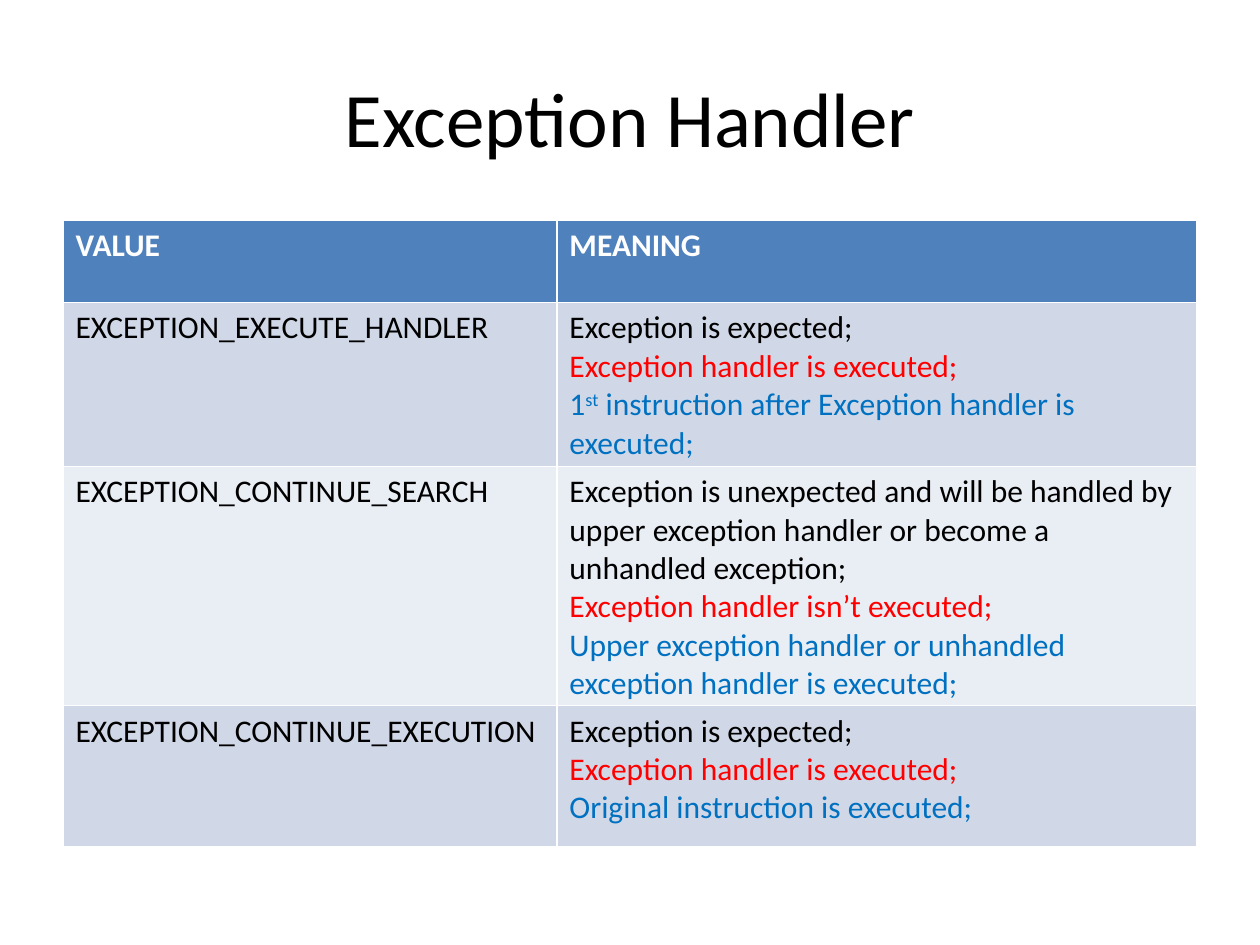
"""Build the Exception Handler slide: a title above a table of filter values."""
from pptx import Presentation
from pptx.dml.color import RGBColor
from pptx.enum.text import MSO_ANCHOR as Anchor, PP_ALIGN as Align
from pptx.util import Inches, Pt

BLACK, WHITE, RED, BLUE = "000000", "FFFFFF", "FF0000", "0070C0"
HEADER_FILL, BAND_FILLS = "4F81BD", ("D0D8E8", "E9EDF4")


def rgb(color):
    return RGBColor.from_string(color)


def write(paragraph, text, size, color, bold=False):
    for index, piece in enumerate(text.split("^")):
        run = paragraph.add_run()
        run.text = piece
        run.font.name, run.font.size = "Calibri", Pt(size)
        run.font.bold, run.font.color.rgb = bold, rgb(color)
        if index % 2:
            run.font._element.set("baseline", "30000")


meanings = [
    ("VALUE", ["MEANING"]),
    ("EXCEPTION_EXECUTE_HANDLER", [
        "Exception is expected;",
        "Exception handler is executed;",
        "1^st^ instruction after Exception handler is executed;"]),
    ("EXCEPTION_CONTINUE_SEARCH", [
        "Exception is unexpected and will be handled by upper exception "
        "handler or become a unhandled exception;",
        "Exception handler isn’t executed;",
        "Upper exception handler or unhandled exception handler is executed;"]),
    ("EXCEPTION_CONTINUE_EXECUTION", [
        "Exception is expected;",
        "Exception handler is executed;",
        "Original instruction is executed;"]),
]

deck = Presentation()
deck.slide_width, deck.slide_height = Inches(10), Inches(7.5)
slide = deck.slides.add_slide(deck.slide_layouts[6])
margin = Inches(0.5)
content_width = deck.slide_width - 2 * margin

heading = slide.shapes.add_textbox(margin, Inches(0.3), content_width, Inches(1.25)).text_frame
heading.word_wrap = True
heading.vertical_anchor = Anchor.MIDDLE
heading.paragraphs[0].alignment = Align.CENTER
write(heading.paragraphs[0], "Exception Handler", 44, BLACK)

table = slide.shapes.add_table(len(meanings), 2, margin, Inches(1.75),
                               content_width, Inches(4.01)).table
table.columns[0].width = Inches(3.92)
table.columns[1].width = content_width - Inches(3.92)

for row, (value, lines) in enumerate(meanings):
    is_header = row == 0
    table.rows[row].height = Inches(0.65 if is_header else 1.12)
    for column, texts in enumerate(([value], lines)):
        cell = table.cell(row, column)
        cell.fill.solid()
        cell.fill.fore_color.rgb = rgb(HEADER_FILL if is_header else BAND_FILLS[(row - 1) % 2])
        for index, (text, color) in enumerate(zip(texts, (BLACK, RED, BLUE))):
            frame = cell.text_frame
            paragraph = frame.add_paragraph() if index else frame.paragraphs[0]
            write(paragraph, text, 18, WHITE if is_header else color, is_header)

deck.save("out.pptx")
